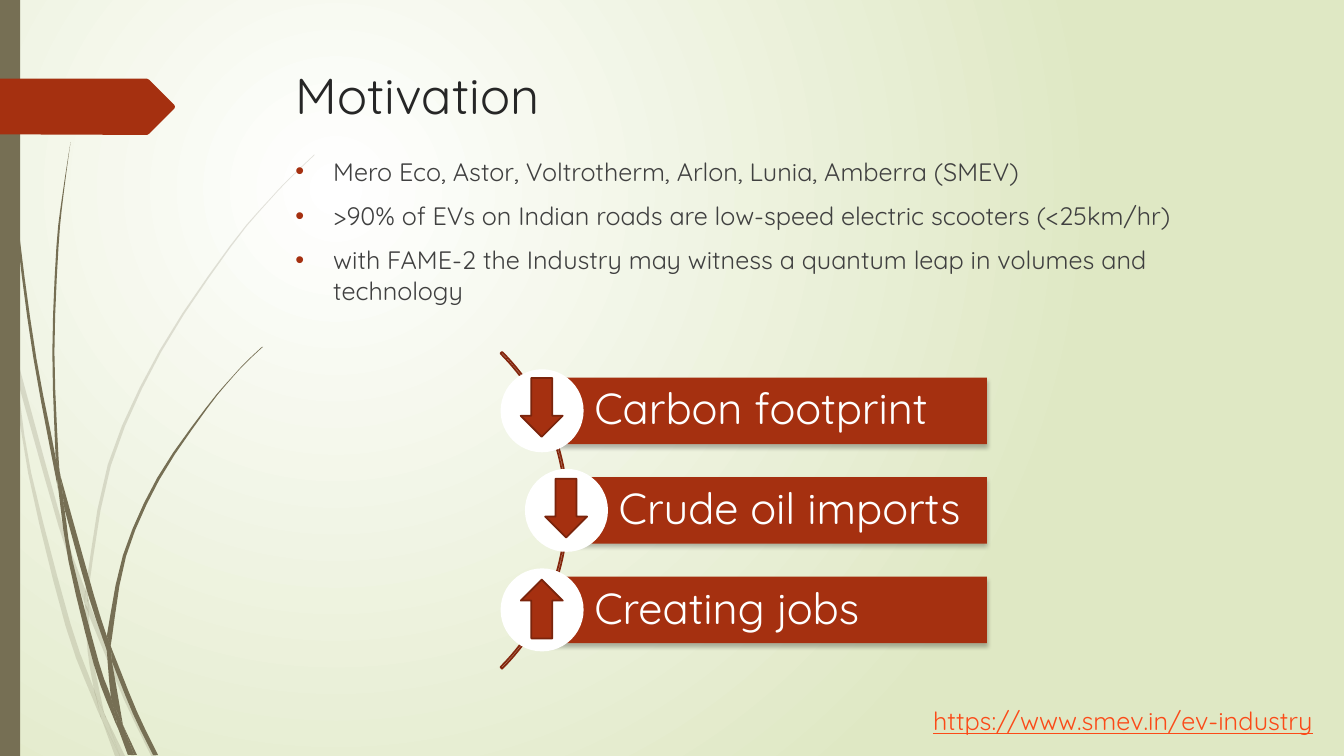
"""Build the Motivation slide about electric vehicles."""
from dataclasses import dataclass

from lxml import etree
from pptx import Presentation
from pptx.dml.color import RGBColor
from pptx.enum import shapes, text
from pptx.oxml import ns
from pptx.util import Pt

WHITE = RGBColor(0xFF, 0xFF, 0xFF)
PALE_GREEN = RGBColor(0xDF, 0xE8, 0xC4)
OLIVE = RGBColor(0x76, 0x6F, 0x54)
RUST = RGBColor(0xA5, 0x30, 0x10)
ARC_LINE = RGBColor(0x84, 0x26, 0x0D)
ARROW_LINE = RGBColor(0x7A, 0x24, 0x0C)
TITLE_COLOR = RGBColor(0x26, 0x26, 0x26)
BODY_COLOR = RGBColor(0x40, 0x40, 0x40)
LINK_COLOR = RGBColor(0xFB, 0x4A, 0x18)
BLACK = RGBColor(0, 0, 0)
FONT = "Quicksand"
CURVE_STEPS = 3

Points = list[tuple[float, float]]


@dataclass
class Blade:
    """One piece of grass, given by its two edges from top to bottom."""
    left: Points
    right: Points


@dataclass
class Goal:
    """One row of the curved list."""
    label: str
    shift: float
    rotation: int


PALE_BLADES = [
    Blade([(0, 215.3), (7.2, 247.7)], [(0, 203), (6.5, 231.8), (7.9, 252)]),
    Blade([(12.2, 270.7), (41.8, 375.8), (60.5, 431.3)],
          [(10.1, 248.4), (44.6, 374.4), (61.2, 421.9)]),
    Blade([(63.4, 439.2), (88.6, 499.7), (108, 540)],
          [(63.4, 429.1), (66.2, 437), (91.4, 498.2), (111.6, 540)]),
    Blade([(75.6, 511.9), (85.7, 540)], [(75.6, 511.9), (89.3, 540)]),
    Blade([(7.9, 252), (20.2, 338.4), (46.8, 447.1), (66.2, 499), (72.7, 514.1)],
          [(7.9, 252), (12.2, 270.7), (22.3, 337.7), (50.4, 445.7), (67, 491.8), (71.3, 509)]),
    Blade([(60.5, 431.3), (62.6, 465.1), (67, 491.8), (69.1, 498.2), (75.6, 511.9)],
          [(60.5, 431.3), (63.4, 437.8), (65.5, 465.1), (74.2, 508.3), (75.6, 511.9)]),
    Blade([(224.6, 110.2), (208.1, 126), (193, 141.8), (164.2, 175.7), (113.8, 250.6),
           (77, 331.9), (61.2, 420.5), (61.2, 421.9)],
          [(224.6, 110.9), (208.8, 126), (193, 142.6), (164.9, 176.4), (115.2, 251.3),
           (79.2, 332.6), (63.4, 420.5), (63.4, 429.1)]),
    Blade([(72.7, 514.1), (82.1, 540)], [(72.7, 514.1), (85.7, 540)]),
    Blade([(61.2, 421.9), (60.5, 431.3), (63.4, 437.8)],
          [(61.2, 421.9), (63.4, 429.1), (63.4, 439.2)]),
    Blade([(67, 491.8), (71.3, 509), (72.7, 514.1), (85.7, 540)],
          [(67, 491.8), (69.1, 498.2), (75.6, 511.9), (85.7, 540)]),
]
DARK_BLADES = [
    Blade([(2.2, 0), (2.9, 34.6), (5, 79.2), (12.2, 167.8), (23.8, 255.6), (40.3, 343.4),
           (41, 346.3)],
          [(2.9, 0), (3.6, 34.6), (5.8, 78.5), (13.7, 167), (25.9, 255.6), (39.6, 326.2),
           (41, 346.3)]),
    Blade([(46.1, 363.6), (63.4, 426.2), (76.3, 464.4)],
          [(43.2, 339.8), (67, 424.8), (76.3, 454.3)]),
    Blade([(79.9, 472.3), (95, 509.8), (109.4, 539.3)],
          [(79.2, 461.5), (81.4, 467.3), (97.9, 508.3), (113, 539.3)]),
    Blade([(41, 343.4), (49, 401), (67, 474.5), (79.9, 509.8), (84.2, 519.8)],
          [(41, 343.4), (46.1, 363.6), (51.8, 400.3), (70.6, 473), (79.2, 497.5),
           (83.5, 516.2)]),
    Blade([(50.4, 101.5), (44.6, 139), (40.3, 176.4), (37.4, 251.3), (39.6, 323.3)],
          [(50.4, 101.5), (45.4, 139), (41.8, 176.4), (38.9, 251.3), (41.8, 326.2),
           (43.2, 339.8)]),
    Blade([(87.8, 517.7), (95.8, 539.3)], [(87.8, 517.7), (97.9, 539.3)]),
    Blade([(39.6, 323.3), (41, 343.4), (46.1, 363.6)],
          [(39.6, 323.3), (43.2, 339.8), (46.1, 363.6)]),
    Blade([(187.2, 247.7), (176.4, 257.8), (166.3, 268.6), (146.9, 291.6), (112.3, 341.3),
           (87.8, 396.7), (76.3, 454.3)],
          [(187.9, 247.7), (176.4, 258.5), (166.3, 269.3), (147.6, 292.3), (113.8, 342.7),
           (90, 397.4), (79.9, 455.8), (79.2, 461.5)]),
    Blade([(84.2, 519.8), (91.4, 539.3)], [(84.2, 519.8), (94.3, 539.3)]),
    Blade([(76.3, 464.4), (79.2, 497.5), (83.5, 508.3), (87.8, 517.7)],
          [(76.3, 464.4), (78.5, 468.7), (79.9, 472.3), (87.8, 517.7)]),
    Blade([(76.3, 454.3), (76.3, 464.4), (79.9, 472.3)],
          [(76.3, 454.3), (79.2, 461.5), (79.9, 472.3)]),
    Blade([(79.2, 497.5), (83.5, 516.2), (84.2, 519.8), (93.6, 539.3)],
          [(79.2, 497.5), (83.5, 508.3), (87.8, 517.7), (95.8, 539.3)]),
]
RIBBON = [(0, 56.2), (105, 56.2), (106.6, 57), (124.6, 75), (125, 76.3),
          (124.6, 77.6), (106.6, 95.6), (105, 96.4), (0, 96)]
GOALS = [Goal("Carbon footprint", 0, 0), Goal("Crude oil imports", 17.4, 0),
         Goal("Creating jobs", 0, 180)]
BULLETS = ["Mero Eco, Astor, Voltrotherm, Arlon, Lunia, Amberra (SMEV)",
           ">90% of EVs on Indian roads are low-speed electric scooters (<25km/hr)",
           "with FAME-2 the Industry may witness a quantum leap in volumes and technology"]


def add_element(parent, tag: str, **attributes):
    """Append a DrawingML element to its parent."""
    return etree.SubElement(parent, ns.qn(tag), attributes)


def smooth(points: Points) -> Points:
    """Sample a Catmull-Rom curve, keeping a two-point edge straight."""
    if len(points) == 2:
        return points
    padded = [points[0], *points, points[-1]]
    curve = [points[0]]
    for a, b, c, d in zip(padded, padded[1:], padded[2:], padded[3:]):
        for step in range(1, CURVE_STEPS + 1):
            t = step / CURVE_STEPS
            curve.append(tuple(
                q + t * (r - p) / 2 + t * t * (2 * p - 5 * q + 4 * r - s) / 2
                + t ** 3 * (3 * q - p - 3 * r + s) / 2
                for p, q, r, s in zip(a, b, c, d)))
    return curve


def paint(shape, fill: RGBColor | None, line: RGBColor | None = None) -> None:
    """Set fill and outline, without a shadow."""
    shape.shadow.inherit = False
    if fill is None:
        shape.fill.background()
    else:
        shape.fill.solid()
        shape.fill.fore_color.rgb = fill
    if line is None:
        shape.line.fill.background()
    else:
        shape.line.color.rgb = line
        shape.line.width = Pt(1.25)


def add_outline(slide, points: Points, fill: RGBColor, alpha: int = 100) -> None:
    """Draw a closed filled outline."""
    start, *rest = [(Pt(x), Pt(y)) for x, y in points]
    builder = slide.shapes.build_freeform(*start)
    builder.add_line_segments(rest)
    shape = builder.convert_to_shape()
    paint(shape, fill)
    if alpha < 100:
        color = shape._element.spPr.find(".//" + ns.qn("a:srgbClr"))
        add_element(color, "a:alpha", val=str(alpha * 1000))


def add_preset(slide, kind, left: float, top: float, width: float, height: float,
               fill: RGBColor | None, line: RGBColor | None = None):
    """Draw a preset shape."""
    shape = slide.shapes.add_shape(kind, Pt(left), Pt(top), Pt(width), Pt(height))
    paint(shape, fill, line)
    return shape


def write(shape, lines: list[str], *, size: float, color: RGBColor, bullet: bool = False,
          wrap: bool = True, underline: bool = False, middle: bool = False,
          inset: float = 7.2, line_spacing: float = 1.0) -> None:
    """Fill a shape with formatted paragraphs."""
    frame = shape.text_frame
    frame.word_wrap = wrap
    frame.margin_left = Pt(inset)
    frame.vertical_anchor = text.MSO_ANCHOR.MIDDLE if middle else text.MSO_ANCHOR.TOP
    for index, content in enumerate(lines):
        paragraph = frame.paragraphs[0] if index == 0 else frame.add_paragraph()
        paragraph.alignment = text.PP_ALIGN.LEFT
        paragraph.line_spacing = line_spacing
        if index:
            paragraph.space_before = Pt(10)
        if bullet:
            properties = paragraph._p.get_or_add_pPr()
            properties.set("marL", str(Pt(27)))
            properties.set("indent", str(Pt(-27)))
            add_element(add_element(properties, "a:buClr"), "a:srgbClr", val=str(RUST))
            add_element(properties, "a:buFont", typeface="Arial")
            add_element(properties, "a:buChar", char="•")
        run = paragraph.add_run()
        run.text = content
        run.font.name, run.font.size = FONT, Pt(size)
        run.font.color.rgb = color
        run.font.underline = underline


def add_text(slide, left: float, top: float, width: float, height: float,
             lines: list[str], **style) -> None:
    """Place a text box."""
    write(slide.shapes.add_textbox(Pt(left), Pt(top), Pt(width), Pt(height)), lines, **style)


def add_background(slide) -> None:
    """Give the slide its circular gradient."""
    fill = slide.background.fill
    fill.gradient()
    for stop, color in zip(fill.gradient_stops, (WHITE, PALE_GREEN)):
        stop.color.rgb = color
    gradient = slide.background._cSld.find(".//" + ns.qn("a:gradFill"))
    gradient.remove(gradient.find(ns.qn("a:lin")))
    circle = add_element(gradient, "a:path", path="circle")
    add_element(circle, "a:fillToRect", l="50000", t="50000", r="100000", b="100000")


def add_goal(slide, goal: Goal, index: int) -> None:
    """Draw a bar with its circle and arrow."""
    left, top = 387.2 + goal.shift, 269.8 + 71.1 * index
    kinds = shapes.MSO_SHAPE
    bar = add_preset(slide, kinds.RECTANGLE, left, top, 704.9 - left, 47.5, RUST)
    effects = bar._element.spPr.find(ns.qn("a:effectLst"))
    shadow = add_element(effects, "a:outerShdw", blurRad=str(Pt(3)), dist=str(Pt(2)),
                         dir="5400000", algn="ctr", rotWithShape="0")
    add_element(add_element(shadow, "a:srgbClr", val=str(BLACK)), "a:alpha", val="25000")
    write(bar, [goal.label], size=31, color=WHITE, middle=True, inset=37.4, line_spacing=0.9)
    add_preset(slide, kinds.OVAL, left - 29.6, top - 6, 59.3, 59.3, WHITE)
    arrow = add_preset(slide, kinds.DOWN_ARROW, left - 15.2, 270 + 72 * index, 30, 42,
                       RUST, ARROW_LINE)
    arrow.rotation = goal.rotation


def main() -> None:
    """Build and save the presentation."""
    presentation = Presentation()
    presentation.slide_width, presentation.slide_height = Pt(960), Pt(540)
    slide = presentation.slides.add_slide(presentation.slide_layouts[6])
    add_background(slide)
    for blades, alpha in ((PALE_BLADES, 20), (DARK_BLADES, 100)):
        for blade in blades:
            outline = smooth(blade.left) + smooth(blade.right)[::-1]
            add_outline(slide, list(dict.fromkeys(outline)), OLIVE, alpha)
    add_preset(slide, shapes.MSO_SHAPE.RECTANGLE, 0, 0, 14.4, 540, OLIVE)
    add_outline(slide, RIBBON, RUST)
    add_text(slide, 204.3, 42.2, 702, 100.8, ["Motivation"], size=36, color=TITLE_COLOR)
    add_text(slide, 203.9, 108, 702, 297.4, BULLETS, size=18, color=BODY_COLOR, bullet=True)
    arc = add_preset(slide, shapes.MSO_SHAPE.BLOCK_ARC, 85.5, 204.5, 320, 320, None, ARC_LINE)
    for index, value in enumerate((189, 27, 0.005)):
        arc.adjustments[index] = value
    for index, goal in enumerate(GOALS):
        add_goal(slide, goal, index)
    add_text(slide, 659.5, 500.4, 297.4, 28.8, ["https://www.smev.in/ev-industry"],
             size=18, color=LINK_COLOR, wrap=False, underline=True)
    presentation.save("out.pptx")


if __name__ == "__main__":
    main()
